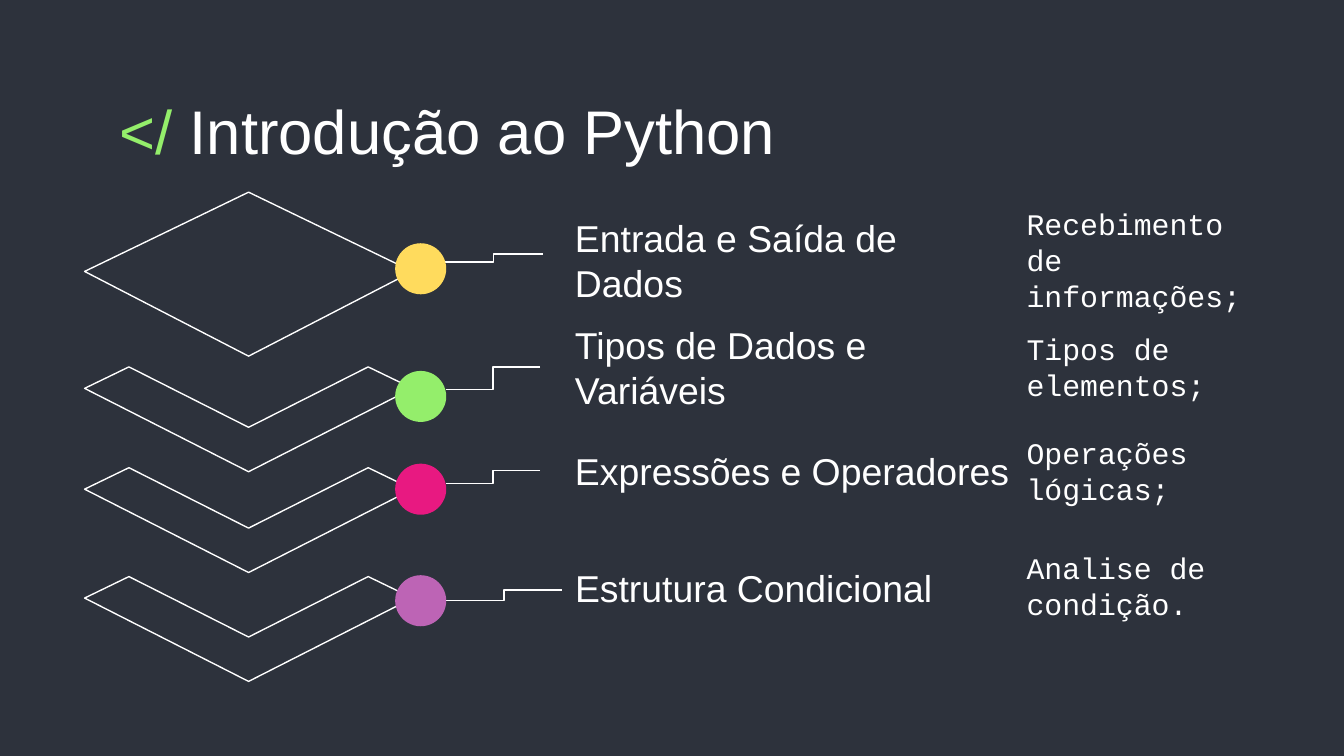
from lxml.etree import SubElement
from pptx import Presentation
from pptx.dml.color import RGBColor as RGB
from pptx.enum.shapes import MSO_CONNECTOR as Link, MSO_SHAPE as Preset
from pptx.enum.text import MSO_ANCHOR as Anchor, MSO_AUTO_SIZE as Fit, PP_ALIGN as Align
from pptx.oxml.ns import qn
from pptx.util import Inches, Pt

THEME = {
    "background": RGB(0x2D, 0x32, 0x3C),
    "white": RGB(0xFF, 0xFF, 0xFF),
    "yellow": RGB(0xFF, 0xDB, 0x5D),
    "green": RGB(0x94, 0xEE, 0x6B),
    "pink": RGB(0xE8, 0x19, 0x81),
    "purple": RGB(0xBD, 0x64, 0xB5),
    "outline": Pt(0.75),
    "title": {"name": "Arial", "size": Pt(33), "bold": False},
    "topic": {"name": "Arial", "size": Pt(20)},
    "detail": {"name": "Courier New", "size": Pt(16)},
}

deck = Presentation()
deck.slide_width = Inches(10)
deck.slide_height = deck.slide_width * 9 // 16
COLUMN = deck.slide_width / 100
ROW = deck.slide_height / 56.25


def grid(*lengths):
    return [round(n * (ROW if i % 2 else COLUMN)) for i, n in enumerate(lengths)]


def write(box, runs, face, anchor):
    inset = Inches(0.1)
    frame_format = {
        "word_wrap": True, "auto_size": Fit.NONE, "vertical_anchor": anchor,
        "margin_left": inset, "margin_right": inset,
        "margin_top": inset, "margin_bottom": inset,
    }
    for key, value in frame_format.items():
        setattr(box.text_frame, key, value)
    paragraph = box.text_frame.paragraphs[0]
    paragraph.alignment = Align.LEFT
    for wording, color in runs:
        run = paragraph.add_run()
        run.text = wording
        for key, value in THEME[face].items():
            setattr(run.font, key, value)
        run.font.color.rgb = THEME[color]


slide = deck.slides.add_slide(deck.slide_layouts[5])
slide.background.fill.solid()
slide.background.fill.fore_color.rgb = THEME["background"]
shapes = slide.shapes

heading = shapes.title
place = zip(("left", "top", "width", "height"), grid(7.9, 5.9, 84.3, 6.3))
for side, length in place:
    setattr(heading, side, length)
write(heading, [("</ ", "green"), ("Introdução ao Python", "white")], "title", Anchor.TOP)

topics = [
    ("Entrada e Saída de Dados", 16.8, 34.7, 5.1, "Recebimento de informações;", 16.8),
    ("Tipos de Dados e Variáveis", 24.8, 34, 5, "Tipos de elementos;", 24.8),
    ("Expressões e Operadores", 32.5, 34.6, 5, "Operações lógicas;", 32.5),
    ("Estrutura Condicional", 41.2, 33.8, 5.1, "Analise de condição.", 41.1),
]
for topic, topic_top, width, height, detail, detail_top in topics:
    detail_box = shapes.add_textbox(*grid(75.4, detail_top, 20.1, 5))
    write(detail_box, [(detail, "white")], "detail", Anchor.MIDDLE)
    topic_box = shapes.add_textbox(*grid(41.8, topic_top, width, height))
    write(topic_box, [(topic, "white")], "topic", Anchor.MIDDLE)

leaders = [
    (40.4, 18.9, 33.1, 19.5),
    (40.2, 27.3, 33.2, 29),
    (40.2, 35, 33.2, 36),
    (41.8, 43.9, 33.2, 44.7),
]
for ends in leaders:
    leader = shapes.add_connector(Link.ELBOW, *grid(*ends))
    leader.line.color.rgb = THEME["white"]
    leader.line.width = THEME["outline"]
    SubElement(leader._element.spPr, qn("a:effectLst"))

diamond = [(18.5, 0), (6.3, 5.9), (18.5, 12.2), (30.7, 5.9)]
chevron = [(9.6, 0), (6.3, 1.6), (18.5, 7.8), (30.7, 1.6), (27.4, 0), (18.5, 4.5)]
layers = [(chevron, 42.9), (chevron, 34.8), (chevron, 27.3), (diamond, 14.3)]
for outline, top in layers:
    corners = [grid(x, top + y) for x, y in outline]
    builder = shapes.build_freeform(*corners[0])
    builder.add_line_segments(corners[1:], close=True)
    layer = builder.convert_to_shape()
    layer.shadow.inherit = False
    layer.fill.background()
    layer.line.color.rgb = THEME["white"]
    layer.line.width = THEME["outline"]

markers = [("yellow", 18.1), ("green", 27.6), ("pink", 34.5), ("purple", 42.8)]
for color, top in markers:
    marker = shapes.add_shape(Preset.OVAL, *grid(29.4, top, 3.8, 3.8))
    marker.shadow.inherit = False
    marker.fill.solid()
    marker.fill.fore_color.rgb = THEME[color]
    marker.line.fill.background()

deck.save("out.pptx")
